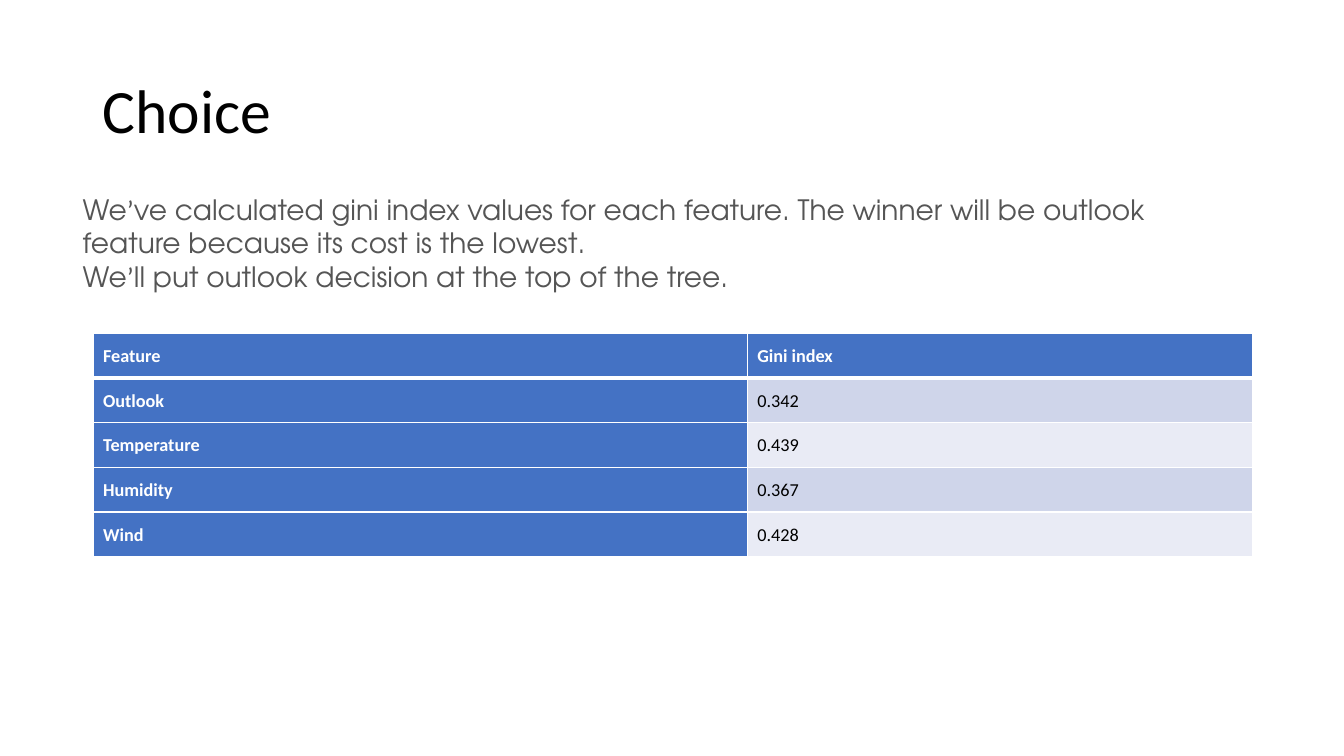
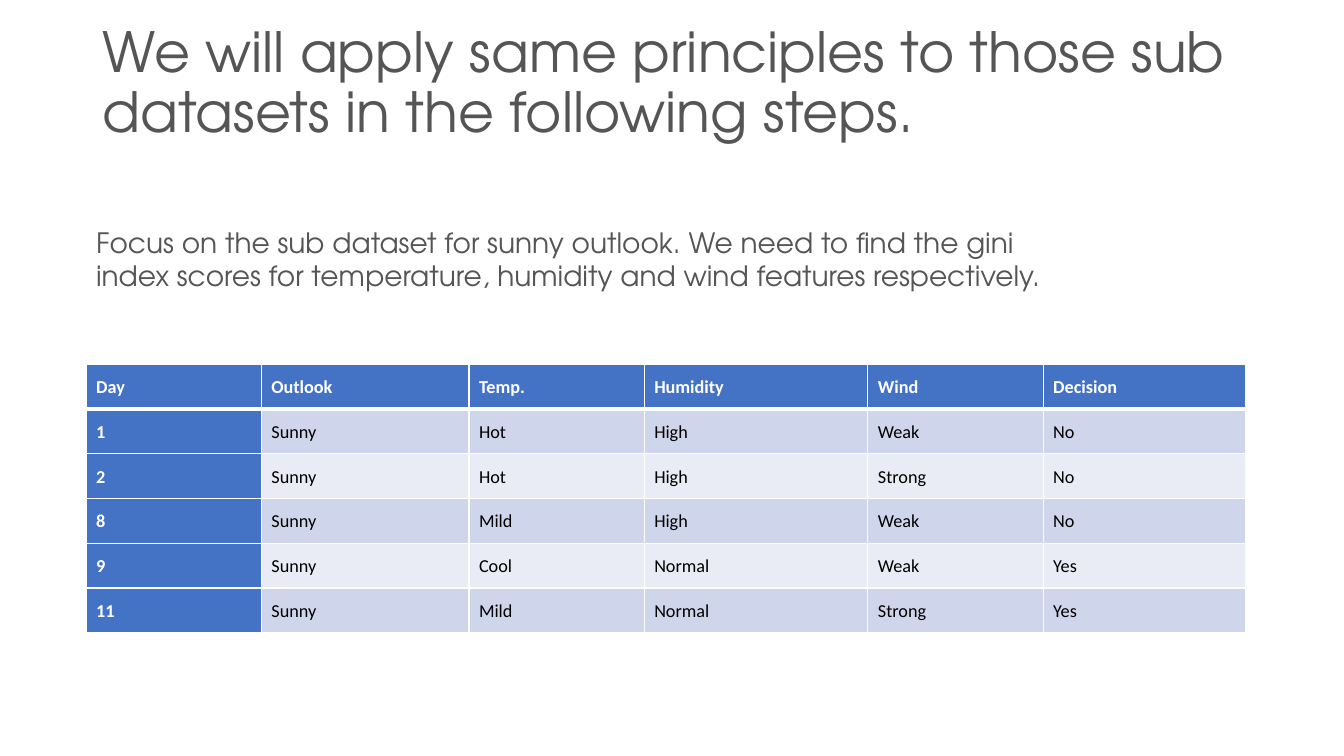
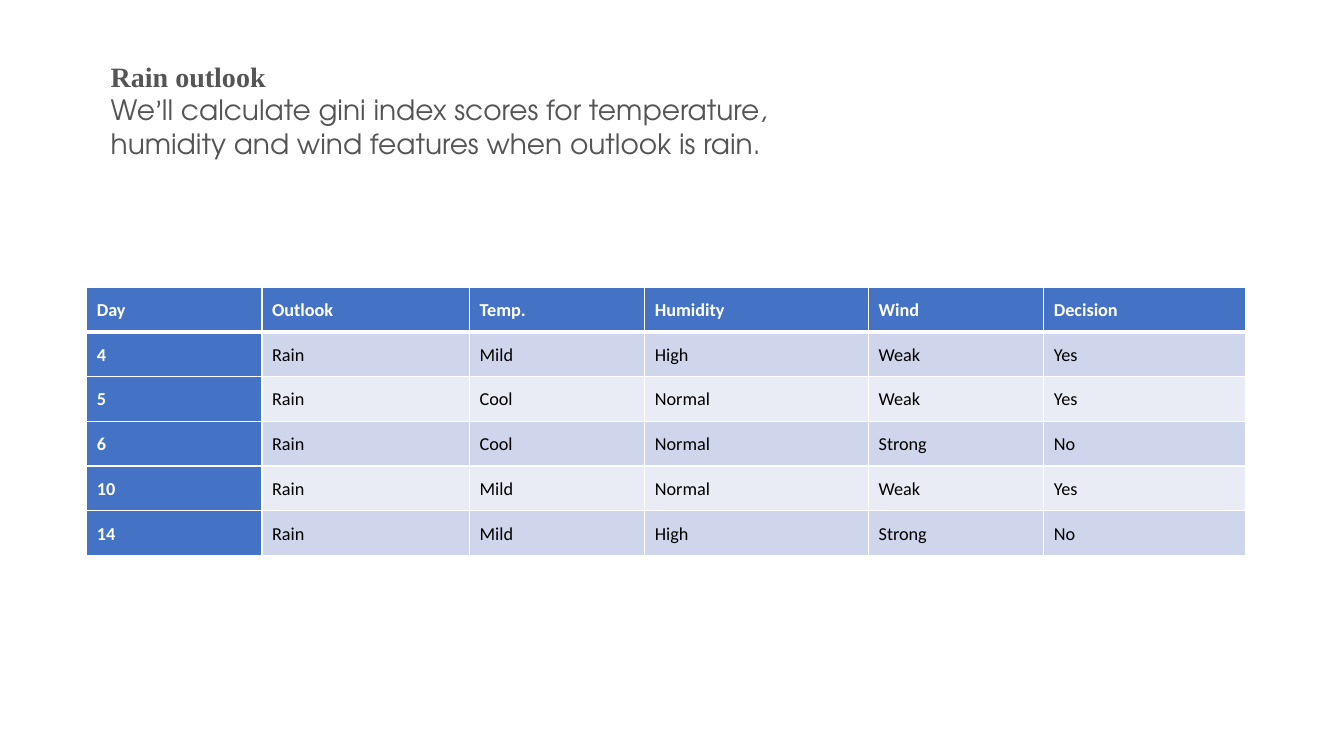
import pptx
import pptx.dml.color
import pptx.enum.text
import pptx.oxml
import pptx.oxml.ns
import pptx.util

Pt = pptx.util.Pt
MIDDLE = pptx.enum.text.MSO_ANCHOR.MIDDLE
DAY_HEADER = ["Day", "Outlook", "Temp.", "Humidity", "Wind", "Decision"]
DAY_WIDTHS = [125.2, 148.3, 125.2, 159.8, 125.2, 144.3]


def color(hex_value):
    """Return the colour for a hex string."""
    return pptx.dml.color.RGBColor.from_string(hex_value)


class Deck:
    """Hold the shared style and the slide being built."""

    BODY_FONT = "TeX Gyre Adventor"
    TABLE_FONT = "Calibri"
    GREY, BLACK, WHITE = "555555", "000000", "FFFFFF"
    BLUE, BANDS = "4472C4", ("CFD5EA", "E9EBF5")
    ROW_HEIGHT, CELL_MARGIN = 32, 7.2
    TITLE_ONLY, BLANK = 5, 6

    def __init__(self):
        """Start a widescreen presentation."""
        self.presentation = pptx.Presentation()
        self.presentation.slide_width = Pt(960)
        self.presentation.slide_height = Pt(540)
        self.slide = None

    def add_slide(self, layout):
        """Add a slide and make it current."""
        layouts = self.presentation.slide_layouts
        self.slide = self.presentation.slides.add_slide(layouts[layout])

    def style(self, run, font, size, hex_value, bold=False):
        """Format one run."""
        run.font.name = font
        run.font.size = Pt(size)
        run.font.bold = bold
        run.font.color.rgb = color(hex_value)

    def title(self, text, font, size, hex_value, bottom_inset=3.6):
        """Add a titled slide."""
        self.add_slide(self.TITLE_ONLY)
        heading = self.slide.shapes.title
        heading.left, heading.top = Pt(66), Pt(28.8)
        heading.width, heading.height = Pt(828), Pt(104.4)
        frame = heading.text_frame
        frame.text = text
        frame.word_wrap = True
        frame.auto_size = pptx.enum.text.MSO_AUTO_SIZE.NONE
        frame.vertical_anchor = MIDDLE
        frame.margin_bottom = Pt(bottom_inset)
        paragraph = frame.paragraphs[0]
        paragraph.alignment = pptx.enum.text.PP_ALIGN.LEFT
        paragraph.line_spacing = 0.9
        self.style(paragraph.runs[0], font, size, hex_value)

    def body(self, left, top, width, height, lines, heading=None):
        """Add body text, with an optional bold serif heading line."""
        box = self.slide.shapes.add_textbox(Pt(left), Pt(top), Pt(width), Pt(height))
        frame = box.text_frame
        frame.word_wrap = True
        frame.auto_size = pptx.enum.text.MSO_AUTO_SIZE.SHAPE_TO_FIT_TEXT
        frame.vertical_anchor = MIDDLE
        frame.text = "\n".join(([heading] if heading else []) + lines)
        for paragraph in frame.paragraphs:
            if paragraph.text == heading:
                self.style(paragraph.runs[0], "Times New Roman", 20, self.GREY, True)
                continue
            parts = [part for part in paragraph.text.partition("’") if part]
            paragraph.text = parts[0]
            for part in parts[1:]:
                paragraph.add_run().text = part
            for run in paragraph.runs:
                font = self.TABLE_FONT if run.text == "’" else self.BODY_FONT
                self.style(run, font, 20, self.GREY)

    def border(self, cell, side, width):
        """Draw one white cell border."""
        line = pptx.oxml.parse_xml(
            f'<a:{side} {pptx.oxml.ns.nsdecls("a")} w="{Pt(width)}"><a:solidFill>'
            f'<a:srgbClr val="{self.WHITE}"/></a:solidFill></a:{side}>')
        cell._tc.get_or_add_tcPr().append(line)

    def cell(self, cell, text, row, column):
        """Fill and format one table cell."""
        is_header = row == 0 or column == 0
        cell.text = text
        cell.vertical_anchor = MIDDLE
        cell.margin_left = cell.margin_right = Pt(self.CELL_MARGIN)
        cell.margin_top = cell.margin_bottom = Pt(self.CELL_MARGIN)
        paragraph = cell.text_frame.paragraphs[0]
        paragraph.line_spacing = 1.07
        paragraph.space_after = Pt(18)
        self.style(paragraph.runs[0], self.TABLE_FONT, 13,
                   self.WHITE if is_header else self.BLACK, is_header)
        self.border(cell, "lnL", 1)
        self.border(cell, "lnR", 1)
        self.border(cell, "lnT", 3 if row == 1 else 1)
        self.border(cell, "lnB", 3 if row == 0 else 1)
        cell.fill.solid()
        cell.fill.fore_color.rgb = color(
            self.BLUE if is_header else self.BANDS[(row - 1) % 2])

    def table(self, left, top, widths, rows):
        """Add a table with a header row and a header column."""
        table = self.slide.shapes.add_table(
            len(rows), len(widths), Pt(left), Pt(top),
            Pt(sum(widths)), Pt(self.ROW_HEIGHT * len(rows))).table
        table.first_col = True
        for column, width in zip(table.columns, widths):
            column.width = Pt(width)
        for row_index, values in enumerate(rows):
            table.rows[row_index].height = Pt(self.ROW_HEIGHT)
            for column_index, value in enumerate(values):
                self.cell(table.cell(row_index, column_index), value,
                          row_index, column_index)


def main():
    """Build the three slides."""
    deck = Deck()

    deck.title("Choice", deck.TABLE_FONT, 44, deck.BLACK)
    deck.table(66.5, 237.8, [467.3, 360.7], [
        ["Feature", "Gini index"],
        ["Outlook", "0.342"],
        ["Temperature", "0.439"],
        ["Humidity", "0.367"],
        ["Wind", "0.428"],
    ])
    deck.body(52, 133.2, 822, 80, [
        "We’ve calculated gini index values for each feature. "
        "The winner will be outlook feature because its cost is the lowest.",
        "We’ll put outlook decision at the top of the tree.",
    ])

    deck.title("We will apply same principles to those sub datasets "
               "in the following steps.", deck.BODY_FONT, 39.6, deck.GREY,
               bottom_inset=45)
    deck.table(61.5, 260.2, DAY_WIDTHS, [
        DAY_HEADER,
        ["1", "Sunny", "Hot", "High", "Weak", "No"],
        ["2", "Sunny", "Hot", "High", "Strong", "No"],
        ["8", "Sunny", "Mild", "High", "Weak", "No"],
        ["9", "Sunny", "Cool", "Normal", "Weak", "Yes"],
        ["11", "Sunny", "Mild", "Normal", "Strong", "Yes"],
    ])
    deck.body(61.5, 157, 724, 55.7, [
        "Focus on the sub dataset for sunny outlook. We need to find the gini "
        "index scores for temperature, humidity and wind features respectively.",
    ])

    deck.add_slide(deck.BLANK)
    deck.table(62, 205, DAY_WIDTHS, [
        DAY_HEADER,
        ["4", "Rain", "Mild", "High", "Weak", "Yes"],
        ["5", "Rain", "Cool", "Normal", "Weak", "Yes"],
        ["6", "Rain", "Cool", "Normal", "Strong", "No"],
        ["10", "Rain", "Mild", "Normal", "Weak", "Yes"],
        ["14", "Rain", "Mild", "High", "Strong", "No"],
    ])
    deck.body(72, 38.2, 556, 80, [
        "We’ll calculate gini index scores for temperature, "
        "humidity and wind features when outlook is rain.",
    ], heading="Rain outlook")

    deck.presentation.save("out.pptx")


if __name__ == "__main__":
    main()
